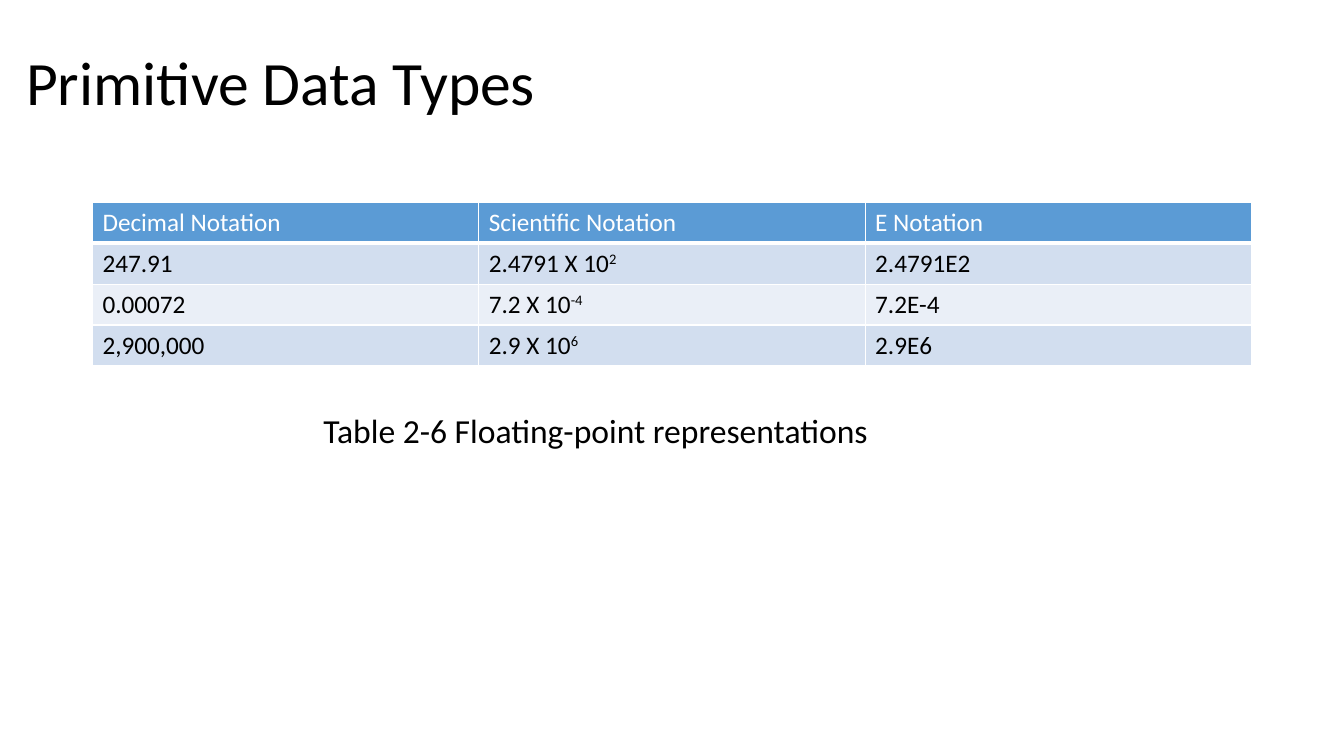
from lxml import etree
from pptx import Presentation
from pptx.dml.color import RGBColor
from pptx.enum.text import MSO_ANCHOR, MSO_AUTO_SIZE
from pptx.oxml.ns import qn
from pptx.util import Cm, Pt

MIDDLE = MSO_ANCHOR.MIDDLE
TOP = MSO_ANCHOR.TOP
FIT_SHAPE = MSO_AUTO_SIZE.SHAPE_TO_FIT_TEXT
FIXED = MSO_AUTO_SIZE.NONE
FONT = "Calibri"
BLACK, WHITE = "000000", "FFFFFF"
HEADER_FILL = "5B9BD5"
BAND_FILLS = ("D2DEEF", "EAEFF7")
NOTATIONS = [
    [("Decimal Notation",), ("Scientific Notation",), ("E Notation",)],
    [("247.91",), ("2.4791 X 10", "2"), ("2.4791E2",)],
    [("0.00072",), ("7.2 X 10", "-4"), ("7.2E-4",)],
    [("2,900,000",), ("2.9 X 10", "6"), ("2.9E6",)],
]


def color(value):
    """Turn a hex string into a colour."""
    return RGBColor.from_string(value)


def style_paragraph(paragraph, size, text_color):
    """Set the font of a whole paragraph."""
    paragraph.font.name = FONT
    paragraph.font.size = Pt(size)
    paragraph.font.bold = False
    paragraph.font.color.rgb = color(text_color)


def add_text(slide, box, text, size, anchor=TOP, auto_size=FIXED, line_spacing=1.0):
    """Add one line of text in a box."""
    shape = slide.shapes.add_textbox(*box)
    frame = shape.text_frame
    frame.word_wrap = True
    frame.auto_size = auto_size
    frame.vertical_anchor = anchor
    paragraph = frame.paragraphs[0]
    paragraph.text = text
    paragraph.line_spacing = line_spacing
    style_paragraph(paragraph, size, BLACK)


def add_borders(cell, bottom_width):
    """Draw white borders around a table cell."""
    properties = cell._tc.get_or_add_tcPr()
    widths = {"a:lnL": 1, "a:lnR": 1, "a:lnT": 1, "a:lnB": bottom_width}
    for side, width in widths.items():
        line = etree.SubElement(properties, qn(side), w=str(Pt(width)))
        fill = etree.SubElement(line, qn("a:solidFill"))
        etree.SubElement(fill, qn("a:srgbClr"), val=WHITE)


def fill_cell(cell, parts, fill, text_color, bottom_width):
    """Write a number with an optional exponent into a styled cell."""
    add_borders(cell, bottom_width)
    cell.fill.solid()
    cell.fill.fore_color.rgb = color(fill)
    paragraph = cell.text_frame.paragraphs[0]
    style_paragraph(paragraph, 18, text_color)
    base, *exponents = parts
    paragraph.add_run().text = base
    for exponent in exponents:
        run = paragraph.add_run()
        run.text = exponent
        run._r.get_or_add_rPr().set("baseline", "30000")


def add_notation_table(slide, box):
    """Add the table of notations with a header and banded rows."""
    table = slide.shapes.add_table(len(NOTATIONS), len(NOTATIONS[0]), *box).table
    for row_index, row in enumerate(NOTATIONS):
        is_header = row_index == 0
        fill = HEADER_FILL if is_header else BAND_FILLS[(row_index - 1) % 2]
        text_color = WHITE if is_header else BLACK
        for column_index, parts in enumerate(row):
            cell = table.cell(row_index, column_index)
            fill_cell(cell, parts, fill, text_color, 3 if is_header else 1)


def main():
    """Build the slide and save it."""
    presentation = Presentation()
    presentation.slide_width = Cm(33.87)
    presentation.slide_height = Cm(19.05)
    slide = presentation.slides.add_slide(presentation.slide_layouts[6])
    title_box = Cm(0.41), Cm(1.02), Cm(33), Cm(2.26)
    table_box = Cm(2.33), Cm(5.1), Cm(29.21), Cm(4.12)
    caption_box = Cm(7.9), Cm(10.21), Cm(16.92), Cm(1.28)
    add_text(slide, title_box, "Primitive Data Types", 44, MIDDLE, line_spacing=0.9)
    add_notation_table(slide, table_box)
    caption = "Table 2-6 Floating-point representations"
    add_text(slide, caption_box, caption, 24, auto_size=FIT_SHAPE)
    presentation.save("out.pptx")


if __name__ == "__main__":
    main()
